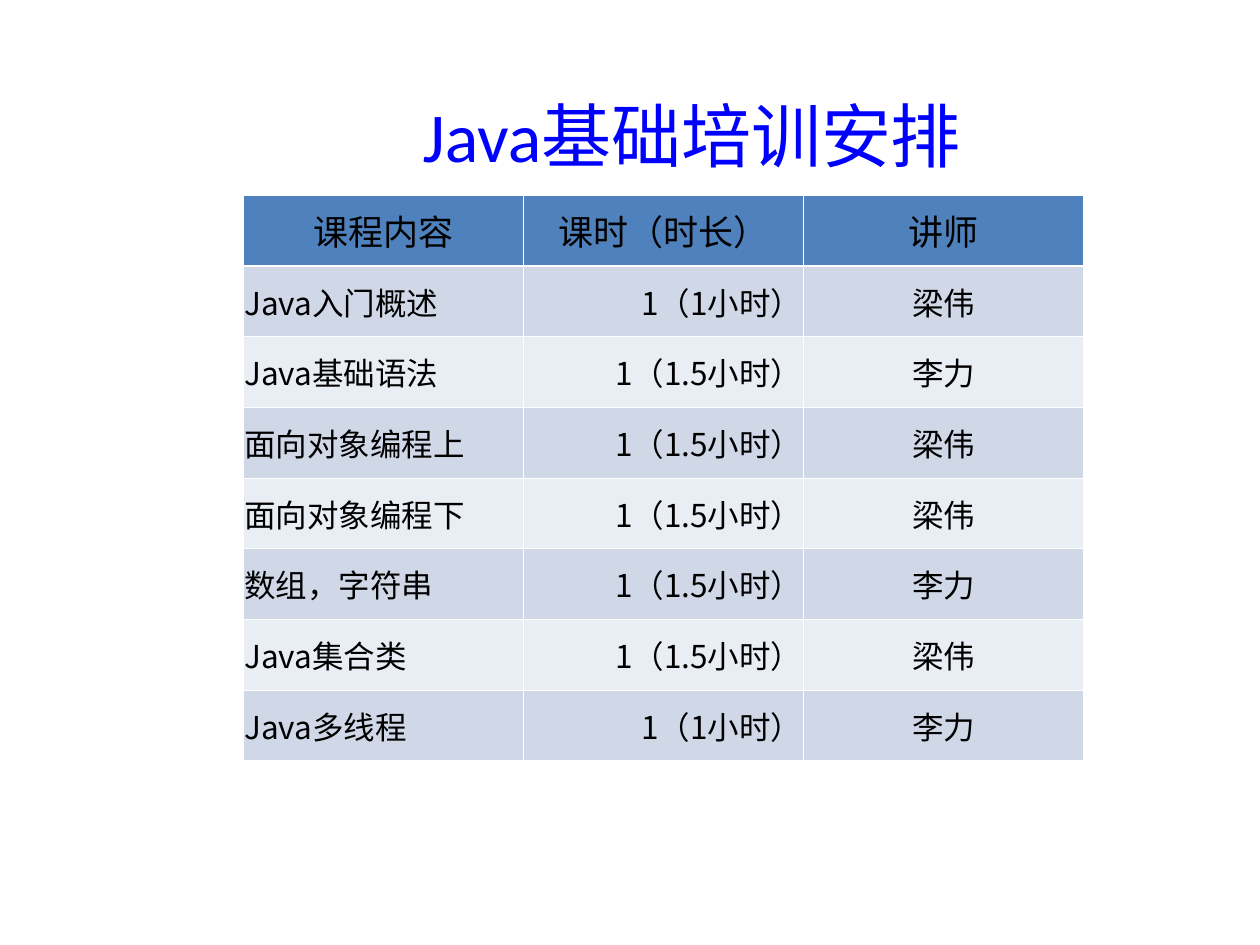
from lxml.etree import SubElement
from pptx import Presentation
from pptx.dml.color import RGBColor
from pptx.enum.text import MSO_ANCHOR, PP_ALIGN
from pptx.oxml.ns import qn
from pptx.util import Inches, Pt

CJK_FONT = "Noto Sans CJK SC"
HEADERS = ["课程内容", "课时（时长）", "讲师"]
LESSONS = [
    ("Java入门概述", "1（1小时）", "梁伟"),
    ("Java基础语法", "1（1.5小时）", "李力"),
    ("面向对象编程上", "1（1.5小时）", "梁伟"),
    ("面向对象编程下", "1（1.5小时）", "梁伟"),
    ("数组，字符串", "1（1.5小时）", "李力"),
    ("Java集合类", "1（1.5小时）", "梁伟"),
    ("Java多线程", "1（1小时）", "李力"),
]
COLUMN_ALIGNS = [PP_ALIGN.LEFT, PP_ALIGN.RIGHT, PP_ALIGN.CENTER]


def color(value):
    return RGBColor.from_string(value)


def write_text(frame, text, size, font=CJK_FONT, fill="000000", align=PP_ALIGN.CENTER):
    para = frame.paragraphs[0]
    para.alignment = align
    span = para.add_run()
    span.text = text
    span.font.size = Pt(size)
    span.font.name = font
    span.font.bold = False
    span.font.color.rgb = color(fill)
    east_asian = SubElement(span.font._element, qn("a:ea"))
    east_asian.set("typeface", CJK_FONT)


def set_borders(cell, top, bottom):
    properties = cell._tc.get_or_add_tcPr()
    widths = {"a:lnL": 0.45, "a:lnR": 0.45, "a:lnT": top, "a:lnB": bottom}
    for index, (tag, width) in enumerate(widths.items()):
        line = SubElement(properties, qn(tag), w=str(Pt(width)))
        fill = SubElement(line, qn("a:solidFill"))
        SubElement(fill, qn("a:srgbClr"), val="FFFFFF")
        # Borders must come before the cell fill
        properties.insert(index, line)


def add_title(slide, left, top, width, height):
    title = slide.shapes.title
    title.left, title.top, title.width, title.height = left, top, width, height
    title.text_frame.word_wrap = True
    title.text_frame.vertical_anchor = MSO_ANCHOR.MIDDLE
    write_text(title.text_frame, "Java基础培训安排", size=40, font="Calibri", fill="0000FF")


def add_schedule(slide, left, top, width, height):
    rows = [HEADERS] + LESSONS
    table = slide.shapes.add_table(
        len(rows), len(HEADERS), left, top, width, height
    ).table
    for row_index, row in enumerate(rows):
        is_header = row_index == 0
        band = "4F81BD" if is_header else ("E9EDF4", "D0D8E8")[row_index % 2]
        for column_index, text in enumerate(row):
            cell = table.cell(row_index, column_index)
            cell.margin_left = cell.margin_right = Inches(0.01)
            cell.margin_top = cell.margin_bottom = Inches(0.05)
            cell.vertical_anchor = MSO_ANCHOR.MIDDLE
            cell.fill.solid()
            cell.fill.fore_color.rgb = color(band)
            # A thicker rule separates the header from the lessons
            set_borders(
                cell,
                top=1.47 if row_index == 1 else 0.45,
                bottom=1.47 if is_header else 0.45,
            )
            align = PP_ALIGN.CENTER if is_header else COLUMN_ALIGNS[column_index]
            write_text(cell.text_frame, text, size=20 if is_header else 18, align=align)


def main():
    deck = Presentation()
    deck.slide_width, deck.slide_height = Inches(10), Inches(7.5)
    slide = deck.slides.add_slide(deck.slide_layouts[5])
    add_title(slide, Inches(0.99), Inches(0.44), Inches(9), Inches(1.25))
    add_schedule(slide, Inches(1.93), Inches(1.55), Inches(6.67), Inches(4.49))
    deck.save("out.pptx")


if __name__ == "__main__":
    main()
